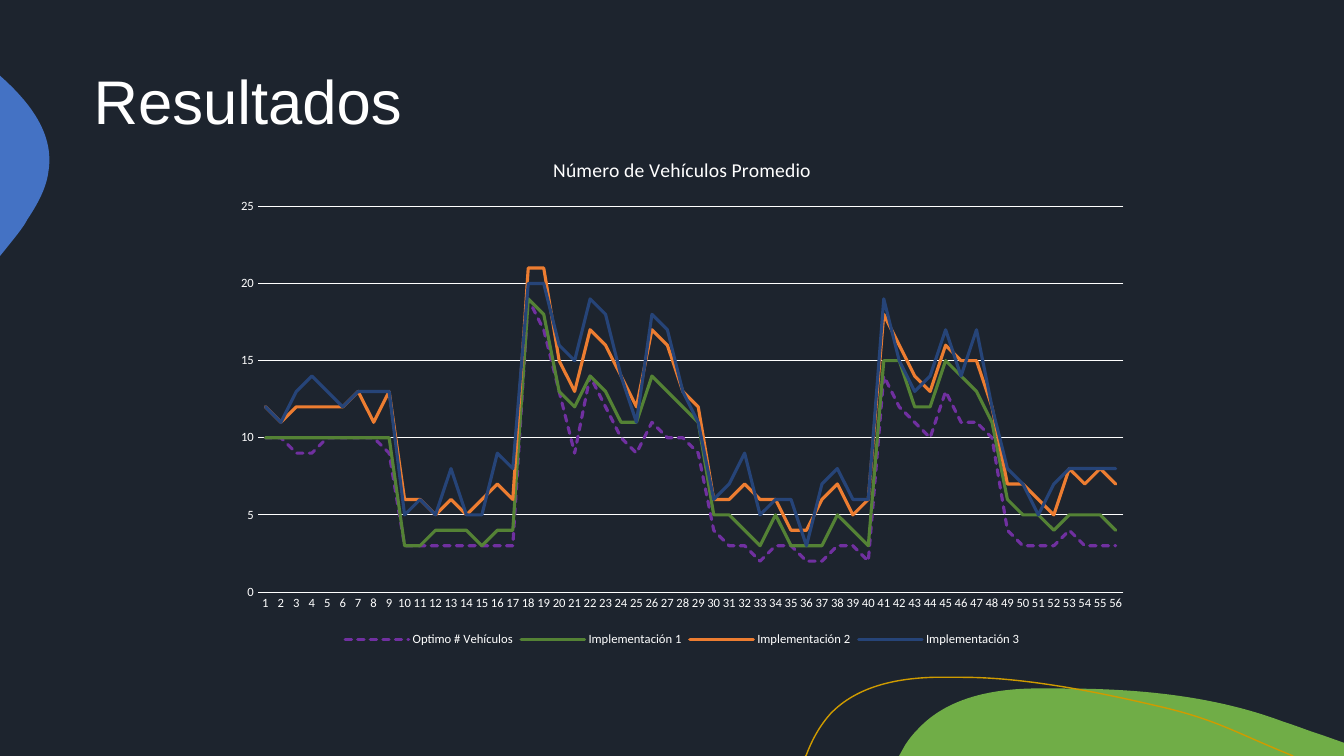
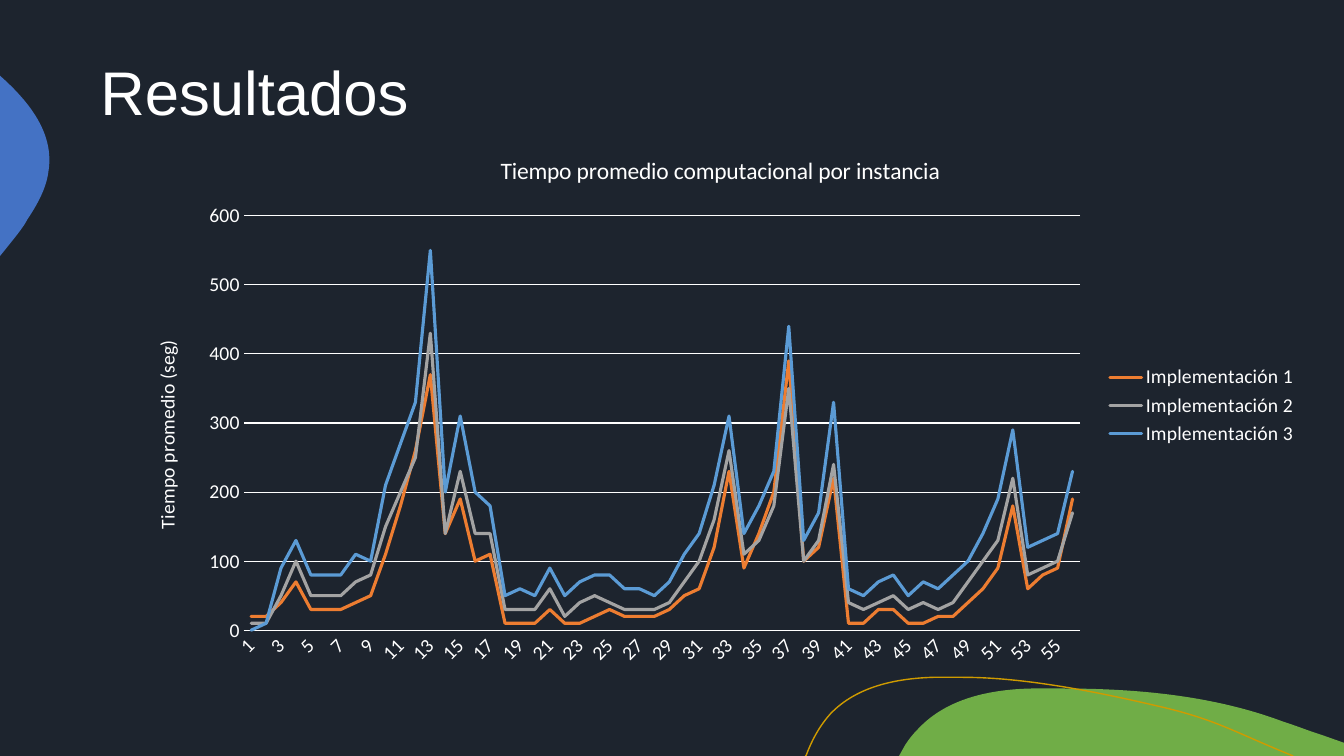
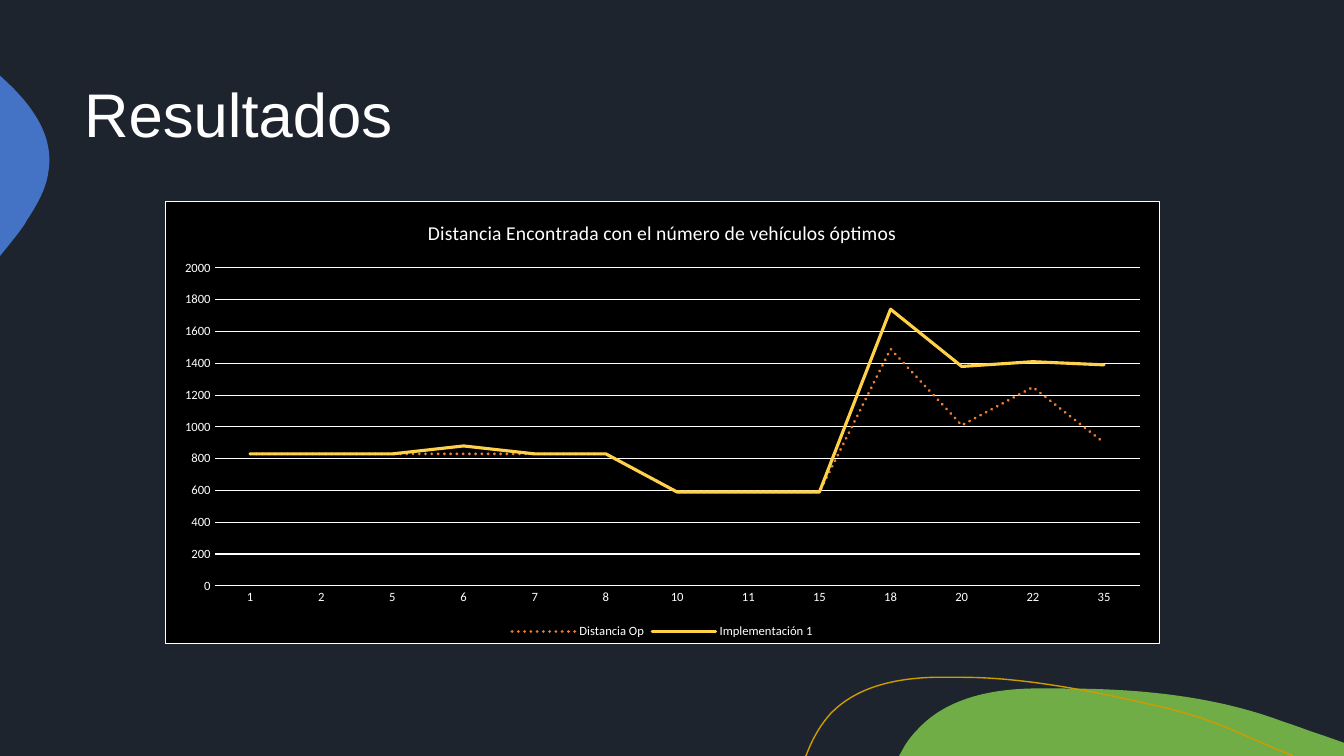
from lxml import etree
from pptx import Presentation
from pptx import util as u
from pptx.chart.data import CategoryChartData
from pptx.dml.color import RGBColor
from pptx.enum import chart as charts
from pptx.enum import dml, text
from pptx.oxml import parse_xml
from pptx.oxml.ns import nsdecls, qn

COLORS = {
    "background": "1D242E", "white": "FFFFFF", "black": "000000",
    "hill": "70AD47", "bulge": "4472C4", "gold": "CF9B00",
    "purple": "7030A0", "dark_green": "548235", "orange": "ED7D31",
    "navy": "264478", "gray": "A3A3A3", "sky": "5B9BD5", "yellow": "FFD149",
}
TITLE_FONT, CHART_FONT = "Arial", "Calibri"

# Outlines in points: a pair is a straight step, six numbers are a Bezier step.
HILL = [
    (758.9, 491.8), (812.2, 491.8, 866.9, 496.8, 916.6, 515.5),
    (925.9, 518.4, 934.6, 522, 943.9, 524.9), (960, 530.6), (960, 540),
    (642.2, 540), (646.6, 532.1), (649.4, 527.8, 652.3, 524.2, 655.9, 520.6),
    (676.1, 499, 707, 492.5, 736.6, 491.8),
    (743.8, 491.8, 751, 491.8, 758.9, 491.8),
]
BULGE = [
    (0, 54), (0.7, 54.7), (21.6, 73.4, 38.9, 95.8, 34.6, 122.4),
    (33.1, 134.6, 26.6, 146.2, 19.4, 157),
    (17.3, 161.3, 12.2, 167.8, 5.8, 175.7), (0, 182.9),
]
CURVE = [
    (575.3, 540), (576, 539.3), (580.3, 527.8, 586.1, 517.7, 593.3, 509.8),
    (612, 490.3, 640.1, 484.6, 666.7, 483.8), (687.6, 483.8),
    (735.8, 483.8, 792, 496.1, 831.6, 505.4),
    (870.5, 514.8, 882.7, 523.4, 923.8, 540),
]

INSTANCES = range(1, 57)
VEHICLES = [
    ("Optimo # Vehículos", "purple", dml.MSO_LINE.SQUARE_DOT,
     [10, 10, 9, 9, 10, 10, 10, 10, 9, 3, 3, 3, 3, 3, 3, 3, 3, 19, 17, 13,
      9, 14, 12, 10, 9, 11, 10, 10, 9, 4, 3, 3, 2, 3, 3, 2, 2, 3, 3, 2,
      14, 12, 11, 10, 13, 11, 11, 10, 4, 3, 3, 3, 4, 3, 3, 3]),
    ("Implementación 1", "dark_green", None,
     [10, 10, 10, 10, 10, 10, 10, 10, 10, 3, 3, 4, 4, 4, 3, 4, 4, 19, 18, 13,
      12, 14, 13, 11, 11, 14, 13, 12, 11, 5, 5, 4, 3, 5, 3, 3, 3, 5, 4, 3,
      15, 15, 12, 12, 15, 14, 13, 11, 6, 5, 5, 4, 5, 5, 5, 4]),
    ("Implementación 2", "orange", None,
     [12, 11, 12, 12, 12, 12, 13, 11, 13, 6, 6, 5, 6, 5, 6, 7, 6, 21, 21, 15,
      13, 17, 16, 14, 12, 17, 16, 13, 12, 6, 6, 7, 6, 6, 4, 4, 6, 7, 5, 6,
      18, 16, 14, 13, 16, 15, 15, 12, 7, 7, 6, 5, 8, 7, 8, 7]),
    ("Implementación 3", "navy", None,
     [12, 11, 13, 14, 13, 12, 13, 13, 13, 5, 6, 5, 8, 5, 5, 9, 8, 20, 20, 16,
      15, 19, 18, 14, 11, 18, 17, 13, 11, 6, 7, 9, 5, 6, 6, 3, 7, 8, 6, 6,
      19, 15, 13, 14, 17, 14, 17, 12, 8, 7, 5, 7, 8, 8, 8, 8]),
]
TIMES = [
    ("Implementación 1", "orange", None,
     [20, 20, 40, 70, 30, 30, 30, 40, 50, 110, 180, 260, 370, 140, 190, 100,
      110, 10, 10, 10, 30, 10, 10, 20, 30, 20, 20, 20, 30, 50, 60, 120, 230,
      90, 140, 200, 390, 100, 120, 220, 10, 10, 30, 30, 10, 10, 20, 20, 40,
      60, 90, 180, 60, 80, 90, 190]),
    ("Implementación 2", "gray", None,
     [10, 10, 50, 100, 50, 50, 50, 70, 80, 150, 200, 250, 430, 140, 230, 140,
      140, 30, 30, 30, 60, 20, 40, 50, 40, 30, 30, 30, 40, 70, 100, 160, 260,
      110, 130, 180, 350, 100, 130, 240, 40, 30, 40, 50, 30, 40, 30, 40, 70,
      100, 130, 220, 80, 90, 100, 170]),
    ("Series 3", "gold", None, [0]),
    ("Implementación 3", "sky", None,
     [0, 10, 90, 130, 80, 80, 80, 110, 100, 210, 270, 330, 550, 200, 310, 200,
      180, 50, 60, 50, 90, 50, 70, 80, 80, 60, 60, 50, 70, 110, 140, 210, 310,
      140, 180, 230, 440, 130, 170, 330, 60, 50, 70, 80, 50, 70, 60, 80, 100,
      140, 190, 290, 120, 130, 140, 230]),
]
OPTIMAL_INSTANCES = [1, 2, 5, 6, 7, 8, 10, 11, 15, 18, 20, 22, 35]
DISTANCES = [
    ("Distancia Op", "orange", dml.MSO_LINE.ROUND_DOT,
     [830, 830, 830, 830, 830, 830, 590, 590, 590, 1490, 1010, 1250, 900]),
    ("Implementación 1", "yellow", None,
     [830, 830, 830, 880, 830, 830, 590, 590, 590, 1740, 1380, 1410, 1390]),
]


def rgb(name):
    return RGBColor.from_string(COLORS[name])


def style_font(font, size, name=CHART_FONT):
    font.name, font.size, font.bold = name, u.Pt(size), False
    font.color.rgb = rgb("white")


def style_line(line, color, width):
    line.color.rgb = rgb(color)
    line.width = u.Pt(width)


def bend_segments(shape, steps):
    """Turn the straight segments of Bezier steps into curves."""
    segments = list(shape._element.iter(qn("a:lnTo")))
    for segment, step in zip(segments, steps):
        if len(step) == 2:
            continue
        bend = etree.Element(qn("a:cubicBezTo"))
        for x, y in zip(step[::2], step[1::2]):
            etree.SubElement(bend, qn("a:pt"), x=str(u.Pt(x) - shape.left),
                             y=str(u.Pt(y) - shape.top))
        segment.getparent().replace(segment, bend)


def add_outline(slide, outline, fill=None, line=None):
    ends = [(u.Pt(step[-2]), u.Pt(step[-1])) for step in outline]
    builder = slide.shapes.build_freeform(*ends[0])
    builder.add_line_segments(ends[1:], close=fill is not None)
    shape = builder.convert_to_shape()
    bend_segments(shape, outline[1:])
    shape.shadow.inherit = False
    if fill:
        shape.fill.solid()
        shape.fill.fore_color.rgb = rgb(fill)
    else:
        shape.fill.background()
    if line:
        style_line(shape.line, line, 1)
    else:
        shape.line.fill.background()


def add_title(slide, left, top):
    box = slide.shapes.add_textbox(u.Pt(left), u.Pt(top), u.Pt(840), u.Pt(120))
    frame = box.text_frame
    frame.word_wrap = True
    frame.vertical_anchor = text.MSO_ANCHOR.MIDDLE
    paragraph = frame.paragraphs[0]
    paragraph.line_spacing = 0.9
    run = paragraph.add_run()
    run.text = "Resultados"
    style_font(run.font, 44, TITLE_FONT)


def add_results_slide(presentation, title_left, title_top):
    slide = presentation.slides.add_slide(presentation.slide_layouts[6])
    add_outline(slide, HILL, fill="hill")
    add_outline(slide, BULGE, fill="bulge")
    add_outline(slide, CURVE, line="gold")
    add_title(slide, title_left, title_top)
    return slide


def set_heading(title, words, size):
    run = title.text_frame.paragraphs[0].add_run()
    run.text = words
    style_font(run.font, size)


def set_chart_area(chart, fill=None):
    """Fill and frame the chart area, or leave it clear."""
    area = parse_xml(f'<c:spPr {nsdecls("c", "a")}/>')
    line = etree.Element(qn("a:ln"), w=str(u.Pt(0.75)))
    for parent, color in ((area, fill), (line, fill and "white")):
        if color:
            solid = etree.SubElement(parent, qn("a:solidFill"))
            etree.SubElement(solid, qn("a:srgbClr"), val=COLORS[color])
        else:
            etree.SubElement(parent, qn("a:noFill"))
    area.append(line)
    chart._chartSpace.get_or_add_txPr().addprevious(area)


def hide_legend_entry(legend, index):
    entry = etree.Element(qn("c:legendEntry"))
    etree.SubElement(entry, qn("c:idx"), val=str(index))
    etree.SubElement(entry, qn("c:delete"), val="1")
    legend._element.find(qn("c:legendPos")).addnext(entry)


def add_line_chart(slide, bounds, heading, heading_size, categories, series,
                   base_size=10, size=9, fill=None,
                   legend=charts.XL_LEGEND_POSITION.BOTTOM):
    data = CategoryChartData()
    data.categories = [str(category) for category in categories]
    for name, _, _, values in series:
        data.add_series(name, values)
    chart = slide.shapes.add_chart(charts.XL_CHART_TYPE.LINE,
                                   *map(u.Pt, bounds), data).chart
    style_font(chart.font, base_size)
    set_chart_area(chart, fill)
    chart.has_title = True
    set_heading(chart.chart_title, heading, heading_size)
    chart.chart_title.include_in_layout = False

    chart.has_legend = True
    chart.legend.position = legend
    chart.legend.include_in_layout = False
    style_font(chart.legend.font, size)

    for axis in (chart.category_axis, chart.value_axis):
        axis.major_tick_mark = axis.minor_tick_mark = charts.XL_TICK_MARK.NONE
        style_font(axis.tick_labels.font, size)
    style_line(chart.category_axis.format.line, "white", 0.75)
    chart.value_axis.format.line.fill.background()
    style_line(chart.value_axis.major_gridlines.format.line, "white", 0.75)

    chart.plots[0].vary_by_categories = False
    for plotted, (_, color, dash, _) in zip(chart.plots[0].series, series):
        plotted.smooth = False
        line = plotted.format.line
        style_line(line, color, 2.25)
        if dash:
            line.dash_style = dash
        plotted._element.find(qn("c:spPr")).find(qn("a:ln")).set("cap", "rnd")
    return chart


def rotate(text_body, degrees):
    text_body.find(qn("a:bodyPr")).set("rot", str(degrees * 60000))


def main():
    presentation = Presentation()
    presentation.slide_width, presentation.slide_height = u.Pt(960), u.Pt(540)
    background = presentation.slide_master.background.fill
    background.solid()
    background.fore_color.rgb = rgb("background")

    slide = add_results_slide(presentation, 59.8, 14.4)
    add_line_chart(slide, (159, 98, 656.6, 367), "Número de Vehículos Promedio",
                   14, INSTANCES, VEHICLES)

    slide = add_results_slide(presentation, 64.6, 8)
    chart = add_line_chart(slide, (94.3, 95.8, 840, 387.4),
                           "Tiempo promedio computacional por instancia", 16.8,
                           INSTANCES, TIMES, base_size=14, size=14,
                           legend=charts.XL_LEGEND_POSITION.RIGHT)
    hide_legend_entry(chart.legend, 2)
    axis_title = chart.value_axis.axis_title
    set_heading(axis_title, "Tiempo promedio (seg)", 14)
    rotate(axis_title.text_frame._txBody, -90)
    rotate(chart.category_axis._element.get_or_add_txPr(), -45)

    slide = add_results_slide(presentation, 53, 23.8)
    add_line_chart(slide, (117.6, 143.8, 711, 316),
                   "Distancia Encontrada con el número de vehículos óptimos",
                   14, OPTIMAL_INSTANCES, DISTANCES, fill="black")

    presentation.save("out.pptx")


if __name__ == "__main__":
    main()
